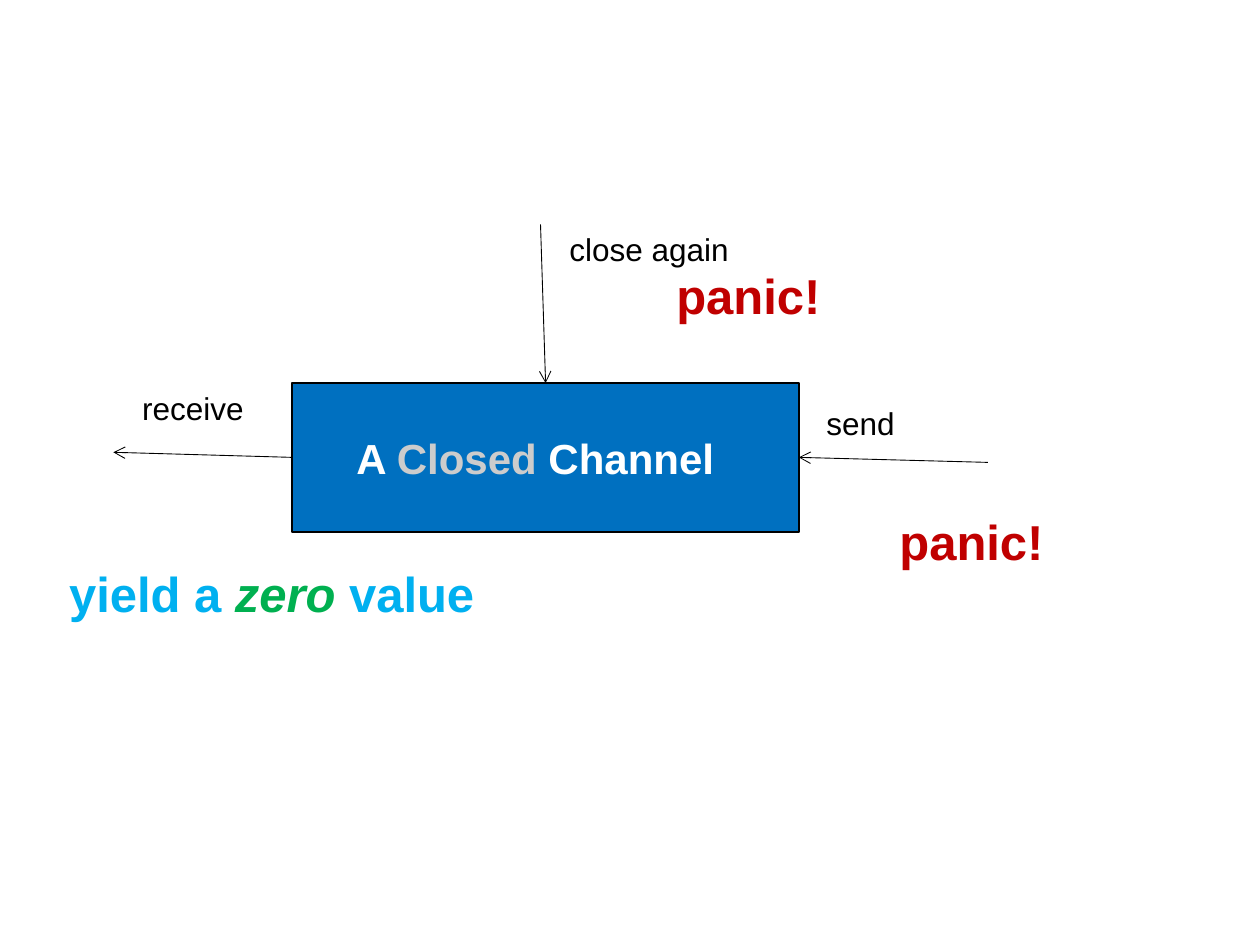
import pptx
import pptx.dml.color
import pptx.enum.shapes
import pptx.enum.text
import pptx.oxml.ns
import pptx.util
from lxml import etree

Inches = pptx.util.Inches
RGBColor = pptx.dml.color.RGBColor

FONT = "Arial"
BLACK = RGBColor(0x00, 0x00, 0x00)
WHITE = RGBColor(0xFF, 0xFF, 0xFF)
GRAY = RGBColor(0xCC, 0xCC, 0xCC)
CHANNEL_BLUE = RGBColor(0x00, 0x70, 0xC0)
RED = RGBColor(0xC0, 0x00, 0x00)
SKY_BLUE = RGBColor(0x00, 0xB0, 0xF0)
GREEN = RGBColor(0x00, 0xB0, 0x50)

# Connection sites of a rectangle
TOP, LEFT, RIGHT = 0, 1, 3


def add_text(slide, box, runs, size, bold=False):
    """Place one line of text; runs are (text, colour, italic)."""
    shape = slide.shapes.add_textbox(*map(Inches, box))
    frame = shape.text_frame
    frame.word_wrap = True
    frame.auto_size = pptx.enum.text.MSO_AUTO_SIZE.SHAPE_TO_FIT_TEXT
    paragraph = frame.paragraphs[0]
    for text, colour, italic in runs:
        run = paragraph.add_run()
        run.text = text
        run.font.name = FONT
        run.font.size = pptx.util.Pt(size)
        run.font.bold = bold
        run.font.italic = italic
        run.font.color.rgb = colour


def add_arrow(slide, start, end):
    """Draw a thin arrow with an open head at its end."""
    arrow = slide.shapes.add_connector(
        pptx.enum.shapes.MSO_CONNECTOR.STRAIGHT, *map(Inches, start + end))
    arrow.line.color.rgb = BLACK
    arrow.line.width = pptx.util.Pt(0.5)
    qn = pptx.oxml.ns.qn
    etree.SubElement(arrow.line._get_or_add_ln(), qn("a:tailEnd"), type="arrow")
    etree.SubElement(arrow._element.spPr, qn("a:effectLst"))
    return arrow


def add_channel(slide, box):
    """Draw the channel and its name, and return the rectangle."""
    left, top, width, height = box
    channel = slide.shapes.add_shape(
        pptx.enum.shapes.MSO_SHAPE.RECTANGLE, *map(Inches, box))
    channel.shadow.inherit = False
    channel.fill.solid()
    channel.fill.fore_color.rgb = CHANNEL_BLUE
    channel.line.color.rgb = BLACK
    channel.line.width = pptx.util.Pt(1)
    name = [("A ", WHITE, False), ("Closed", GRAY, False),
            (" Channel", WHITE, False)]
    add_text(slide, (left + 0.41, top + 0.34, width - 0.81, 0.5), name, 24, True)
    return channel


def add_operation(slide, label, label_box, outcome, outcome_box):
    """Write an operation's name and what it leads to."""
    add_text(slide, label_box, [(label, BLACK, False)], 18)
    add_text(slide, outcome_box, outcome, 28, True)


def build_channel_slide(slide, box):
    left, top, width, height = box
    right, center, middle = left + width, left + width / 2, top + height / 2
    channel = add_channel(slide, box)
    panic = [("panic!", RED, False)]
    zero_value = [("yield a ", SKY_BLUE, False), ("zero", GREEN, True),
                  (" value", SKY_BLUE, False)]

    # Closing again, from above
    close_arrow = add_arrow(slide, (center - 0.04, top - 1.26), (center, top))
    close_arrow.end_connect(channel, TOP)
    add_operation(slide, "close again", (4.42, 1.78, 1.61, 0.4),
                  panic, (5.27, 2.06, 1.54, 0.57))

    # Sending, from the right
    send_arrow = add_arrow(slide, (right + 1.5, middle + 0.04), (right, middle))
    send_arrow.end_connect(channel, RIGHT)
    add_operation(slide, "send", (6.46, 3.16, 0.88, 0.4),
                  panic, (7.04, 4.01, 1.6, 0.57))

    # Receiving, out to the left
    receive_arrow = add_arrow(slide, (left, middle), (left - 1.42, middle - 0.04))
    receive_arrow.begin_connect(channel, LEFT)
    add_operation(slide, "receive", (1.03, 3.04, 1.14, 0.4),
                  zero_value, (0.45, 4.42, 3.5, 0.57))


def main():
    presentation = pptx.Presentation()
    presentation.slide_width = Inches(10)
    presentation.slide_height = Inches(7.5)
    slide = presentation.slides.add_slide(presentation.slide_layouts[6])
    build_channel_slide(slide, (2.32, 3.04, 4.02, 1.18))
    presentation.save("out.pptx")


if __name__ == "__main__":
    main()
